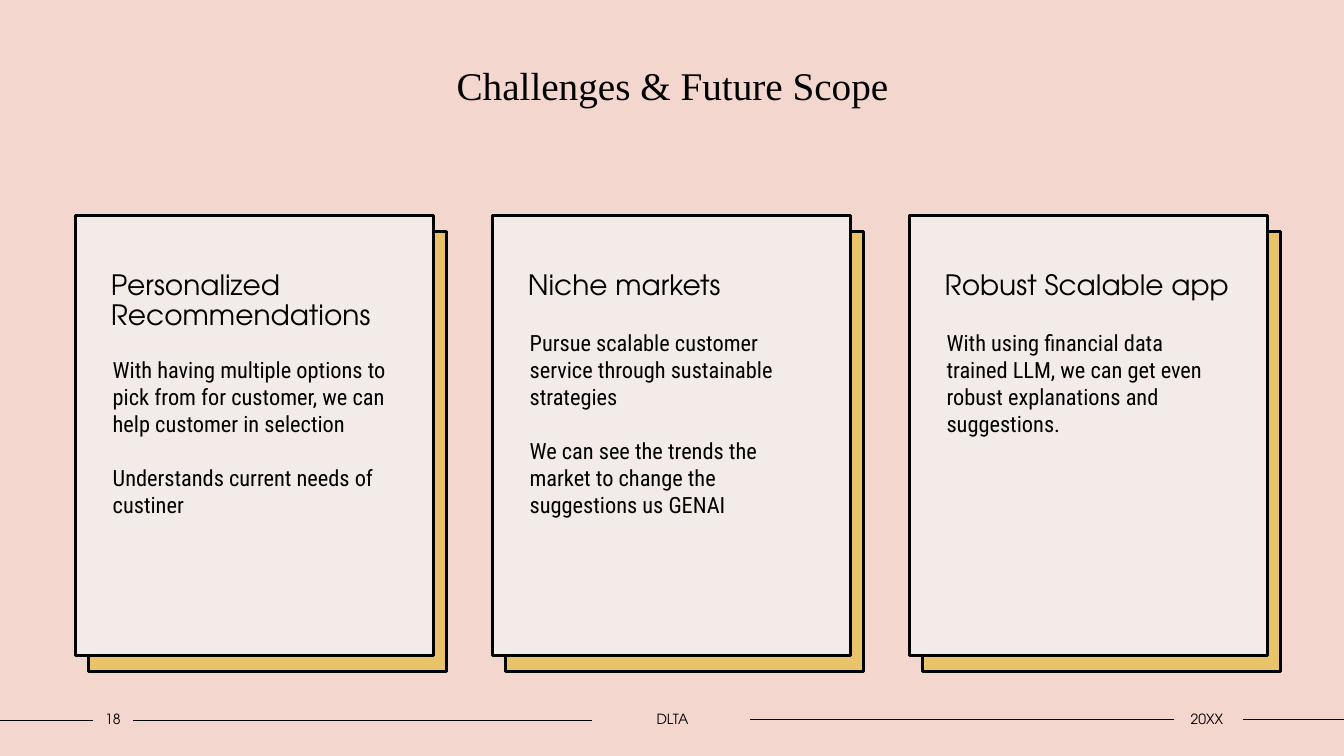
import pptx
import pptx.dml.color
import pptx.enum.shapes
import pptx.enum.text
import pptx.oxml.ns
import pptx.util
from dataclasses import dataclass
from lxml import etree

WIDTH, HEIGHT = 13.33, 7.5
ALIGN = pptx.enum.text.PP_ALIGN
ANCHOR = pptx.enum.text.MSO_ANCHOR


@dataclass(frozen=True)
class Theme:
    background: str = "F3D6CD"
    card: str = "F3EBE8"
    backing: str = "E9C369"
    ink: str = "000000"
    title: tuple = ("Times New Roman", 28)
    heading: tuple = ("TeX Gyre Adventor", 20)
    body: tuple = ("Roboto Condensed", 16)
    footer: tuple = ("TeX Gyre Adventor", 10)
    body_line: float = 19.2
    card_border: float = 2
    rule: float = 1


THEME = Theme()

# Card grid, in inches
CARD_LEFT, CARD_TOP, CARD_PITCH = 0.75, 2.14, 4.135
CARD_WIDTH, CARD_HEIGHT = 3.55, 4.36
BACKING_SHIFT = (0.13, 0.16)
BODY_SHIFT, BODY_TOP, BODY_WIDTH, BODY_BOTTOM = 0.27, 3.22, 3, 6.27

# Heading, lines by which the body starts lower, body paragraphs
CARDS = [
    ("Personalized Recommendations", 1, [
        "With having multiple options to pick from for customer, "
        "we can help customer in selection",
        "Understands current needs of custiner"]),
    ("Niche markets", 0, [
        "Pursue scalable customer service through sustainable strategies",
        "We can see the trends the market to change the suggestions us GENAI"]),
    ("Robust Scalable app", 0, [
        "With using financial data trained LLM, we can get even robust "
        "explanations and suggestions."]),
]

# Footer: text with left and width, then rules with start, end and height
FOOTER_TEXTS = [("18", 0.92, 0.4), ("DLTA", 5.87, 1.6), ("20XX", 11.62, 0.7)]
FOOTER_RULES = [(0, 0.92, 7.15), (1.32, 5.87, 7.15),
                (7.44, 11.64, 7.14), (12.33, WIDTH, 7.14)]


def inches(*lengths):
    return [pptx.util.Inches(length) for length in lengths]


def colour(value):
    return pptx.dml.color.RGBColor.from_string(value)


def apply(target, values):
    for name, value in values.items():
        setattr(target, name, value)


def write(frame, paragraphs, style, insets=(0.1, 0.05, 0.1, 0.05),
          anchor=ANCHOR.TOP, **paragraph_format):
    left, top, right, bottom = inches(*insets)
    apply(frame, {"word_wrap": True, "vertical_anchor": anchor,
                  "margin_left": left, "margin_top": top,
                  "margin_right": right, "margin_bottom": bottom})
    family, size = style
    for index, text in enumerate(paragraphs):
        paragraph = frame.paragraphs[0] if index == 0 else frame.add_paragraph()
        paragraph.text = text
        apply(paragraph, {"alignment": ALIGN.LEFT, **paragraph_format})
        if index:
            paragraph.space_before = pptx.util.Pt(THEME.body_line)
        apply(paragraph.font, {"name": family, "size": pptx.util.Pt(size)})
        paragraph.font.color.rgb = colour(THEME.ink)


def add_text(slide, box, paragraphs, style, **options):
    label = slide.shapes.add_textbox(*inches(*box))
    write(label.text_frame, paragraphs, style, **options)


def add_panel(slide, left, top, fill):
    panel = slide.shapes.add_shape(
        pptx.enum.shapes.MSO_SHAPE.RECTANGLE,
        *inches(left, top, CARD_WIDTH, CARD_HEIGHT))
    panel.shadow.inherit = False
    panel.fill.solid()
    panel.fill.fore_color.rgb = colour(fill)
    panel.line.color.rgb = colour(THEME.ink)
    panel.line.width = pptx.util.Pt(THEME.card_border)
    return panel


def add_card(slide, column, heading, lowered_lines, paragraphs):
    left = CARD_LEFT + column * CARD_PITCH
    add_panel(slide, left + BACKING_SHIFT[0], CARD_TOP + BACKING_SHIFT[1],
              THEME.backing)
    front = add_panel(slide, left, CARD_TOP, THEME.card)
    write(front.text_frame, [heading], THEME.heading,
          insets=(0.35, 0.55, 0.1, 0.05), line_spacing=0.9)
    top = BODY_TOP + lowered_lines * THEME.body_line / 72
    add_text(slide, (left + BODY_SHIFT, top, BODY_WIDTH, BODY_BOTTOM - top),
             paragraphs, THEME.body)


def add_rule(slide, start, end, height):
    rule = slide.shapes.add_connector(
        pptx.enum.shapes.MSO_CONNECTOR.STRAIGHT,
        *inches(start, height, end, height))
    rule.line.color.rgb = colour(THEME.ink)
    rule.line.width = pptx.util.Pt(THEME.rule)
    etree.SubElement(rule.element.spPr, pptx.oxml.ns.qn("a:effectLst"))


def main():
    deck = pptx.Presentation()
    deck.slide_width, deck.slide_height = inches(WIDTH, HEIGHT)
    slide = deck.slides.add_slide(deck.slide_layouts[6])
    slide.background.fill.solid()
    slide.background.fill.fore_color.rgb = colour(THEME.background)

    # Title
    add_text(slide, (1.25, 0.56, 10.84, 1.11), ["Challenges & Future Scope"],
             THEME.title, alignment=ALIGN.CENTER)

    # Cards
    for column, card in enumerate(CARDS):
        add_card(slide, column, *card)

    # Footer
    for rule in FOOTER_RULES:
        add_rule(slide, *rule)
    for text, left, width in FOOTER_TEXTS:
        add_text(slide, (left, 7, width, 0.27), [text], THEME.footer,
                 insets=(0, 0.05, 0, 0.05), anchor=ANCHOR.MIDDLE,
                 alignment=ALIGN.CENTER)

    deck.save("out.pptx")


if __name__ == "__main__":
    main()
